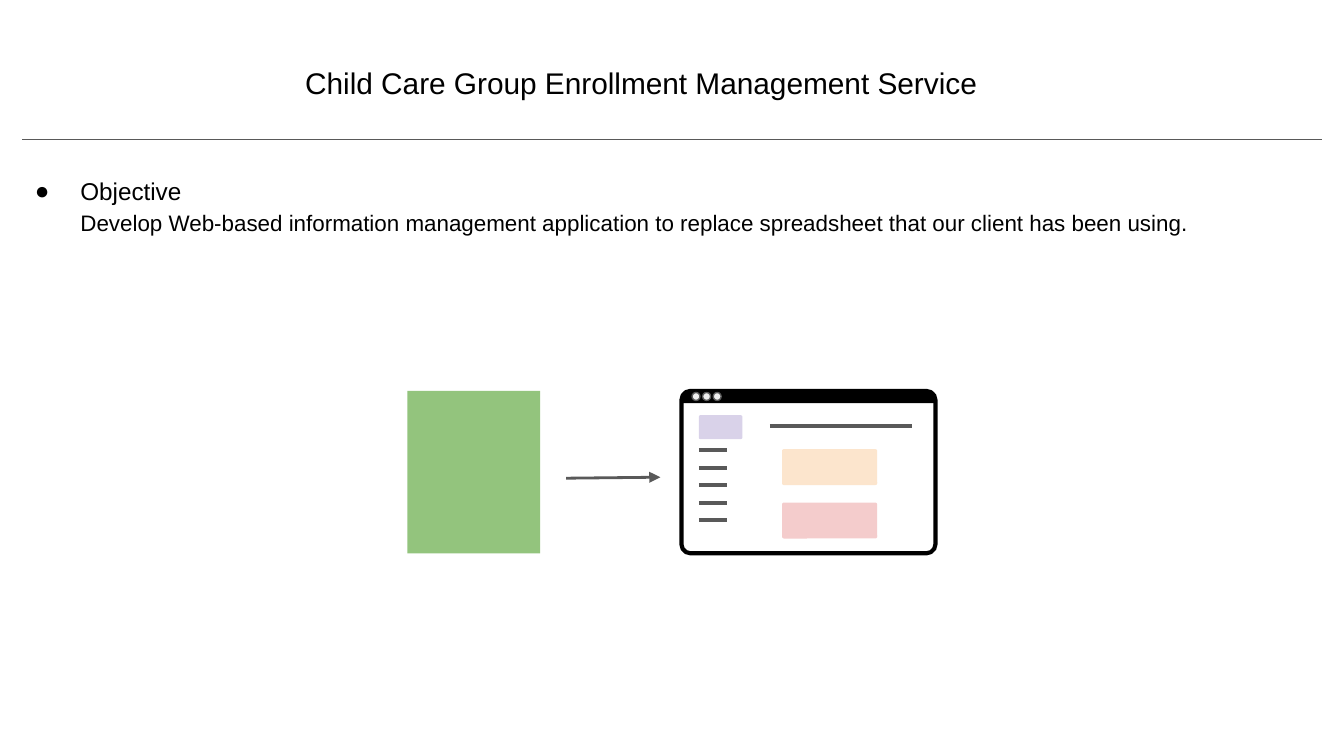
from dataclasses import dataclass
from typing import Optional

from lxml.etree import SubElement
from pptx import Presentation
from pptx.dml.color import RGBColor
from pptx.enum.shapes import MSO_CONNECTOR, MSO_SHAPE as Kind
from pptx.enum.text import MSO_ANCHOR, MSO_AUTO_SIZE, PP_ALIGN
from pptx.oxml.ns import qn
from pptx.util import Cm, Pt

BLACK = RGBColor(0x00, 0x00, 0x00)
WHITE = RGBColor(0xFF, 0xFF, 0xFF)
GRAY = RGBColor(0x59, 0x59, 0x59)
LIGHT_GRAY = RGBColor(0xEE, 0xEE, 0xEE)
GREEN = RGBColor(0x93, 0xC4, 0x7D)
LILAC = RGBColor(0xD9, 0xD2, 0xE9)
PEACH = RGBColor(0xFC, 0xE5, 0xCD)
PINK = RGBColor(0xF4, 0xCC, 0xCC)
FONT = "Arial"


@dataclass
class Block:
    """A preset shape; lengths in centimetres, line width in points."""
    kind: Kind
    left: float
    top: float
    width: float
    height: float
    fill: RGBColor
    line: Optional[RGBColor] = None
    weight: float = 0
    adjust: tuple = ()


@dataclass
class Stroke:
    """A straight line; lengths in centimetres, width in points."""
    x1: float
    y1: float
    x2: float
    y2: float
    weight: float
    arrow: bool = False


def draw_block(page, block: Block) -> None:
    shape = page.shapes.add_shape(block.kind, Cm(block.left), Cm(block.top),
                                  Cm(block.width), Cm(block.height))
    shape.shadow.inherit = False
    for index, value in enumerate(block.adjust):
        shape.adjustments[index] = value
    shape.fill.solid()
    shape.fill.fore_color.rgb = block.fill
    if block.line is None:
        shape.line.fill.background()
    else:
        shape.line.color.rgb = block.line
        shape.line.width = Pt(block.weight)


def draw_stroke(page, stroke: Stroke) -> None:
    line = page.shapes.add_connector(
        MSO_CONNECTOR.STRAIGHT, Cm(stroke.x1), Cm(stroke.y1), Cm(stroke.x2), Cm(stroke.y2))
    line.line.color.rgb = GRAY
    line.line.width = Pt(stroke.weight)
    if stroke.arrow:
        SubElement(line.line._get_or_add_ln(), qn("a:tailEnd"), type="triangle")
    SubElement(line._element.spPr, qn("a:effectLst"))


def place_text(box, left: float, top: float, width: float, height: float, text: str):
    box.left, box.top, box.width, box.height = Cm(left), Cm(top), Cm(width), Cm(height)
    frame = box.text_frame
    frame.text = text
    frame.word_wrap = True
    frame.auto_size = MSO_AUTO_SIZE.NONE
    frame.vertical_anchor = MSO_ANCHOR.TOP
    frame.margin_left = frame.margin_right = Cm(0.25)
    frame.margin_top = frame.margin_bottom = Cm(0.25)
    return frame


def format_paragraph(para, size: float) -> None:
    para.space_before = Pt(0)
    for span in para.runs:
        span.font.name = FONT
        span.font.size = Pt(size)
        span.font.color.rgb = BLACK


def set_indent(para, indent: float, bullet: str = "") -> None:
    props = para._p.get_or_add_pPr()
    props.set("marL", str(Cm(1.27)))
    props.set("indent", str(Cm(indent)))
    if bullet:
        color = SubElement(props, qn("a:buClr"))
        SubElement(color, qn("a:srgbClr"), val=str(BLACK))
        SubElement(props, qn("a:buFont"), typeface=FONT)
        SubElement(props, qn("a:buChar"), char=bullet)
    else:
        SubElement(props, qn("a:buNone"))


def add_texts(page) -> None:
    title = place_text(page.shapes.title, 5.45, 0.97, 13.34, 1.3,
                       "Child Care Group Enrollment Management Service")
    title.paragraphs[0].alignment = PP_ALIGN.CENTER
    format_paragraph(title.paragraphs[0], 16)

    body = place_text(page.placeholders[1], 0, 3, 22.96, 2.64,
                      "Objective\nDevelop Web-based information management application "
                      "to replace spreadsheet that our client has been using.")
    heading, detail = body.paragraphs
    for para, size in ((heading, 13), (detail, 12)):
        para.line_spacing = 1.15
        format_paragraph(para, size)
    set_indent(heading, -0.86, "●")
    set_indent(detail, 0)


def draw_browser(page) -> None:
    left, top, width = 12.88, 7.39, 4.8
    rounded = (0.056,)
    # Window frame and title bar
    draw_block(page, Block(Kind.ROUNDED_RECTANGLE, left, top, width, 3.07,
                           WHITE, BLACK, 2.25, rounded))
    draw_block(page, Block(Kind.ROUND_2_SAME_RECTANGLE, left, top, width, 0.23,
                           BLACK, adjust=(0.381, 0)))
    for index in range(3):
        draw_block(page, Block(Kind.FLOWCHART_CONNECTOR, 13.08 + index * 0.2, 7.42,
                               0.15, 0.15, LIGHT_GRAY, GRAY, 0.75))
    # Menu header and content cards
    draw_block(page, Block(Kind.ROUNDED_RECTANGLE, 13.21, 7.85, 0.82, 0.45,
                           LILAC, adjust=rounded))
    for index, color in enumerate((PEACH, PINK)):
        draw_block(page, Block(Kind.ROUNDED_RECTANGLE, 14.78, 8.49 + index * 1.01,
                               1.8, 0.68, color, adjust=rounded))
    # Heading line and menu lines
    draw_stroke(page, Stroke(14.55, 8.06, 17.24, 8.06, 2.25))
    for index in range(5):
        y = 8.51 + index * 0.33
        draw_stroke(page, Stroke(13.21, y, 13.74, y, 2.25))


def main() -> None:
    deck = Presentation()
    deck.slide_width, deck.slide_height = Cm(25.4), Cm(14.29)
    page = deck.slides.add_slide(deck.slide_layouts[1])
    # Title, rule and objective
    add_texts(page)
    draw_stroke(page, Stroke(0.42, 2.64, 24.98, 2.64, 0.75))
    # Spreadsheet block, arrow and web application
    draw_block(page, Block(Kind.RECTANGLE, 7.7, 7.39, 2.51, 3.07, GREEN))
    draw_stroke(page, Stroke(10.7, 9.04, 12.48, 9.02, 1.5, arrow=True))
    draw_browser(page)
    deck.save("out.pptx")


if __name__ == "__main__":
    main()
